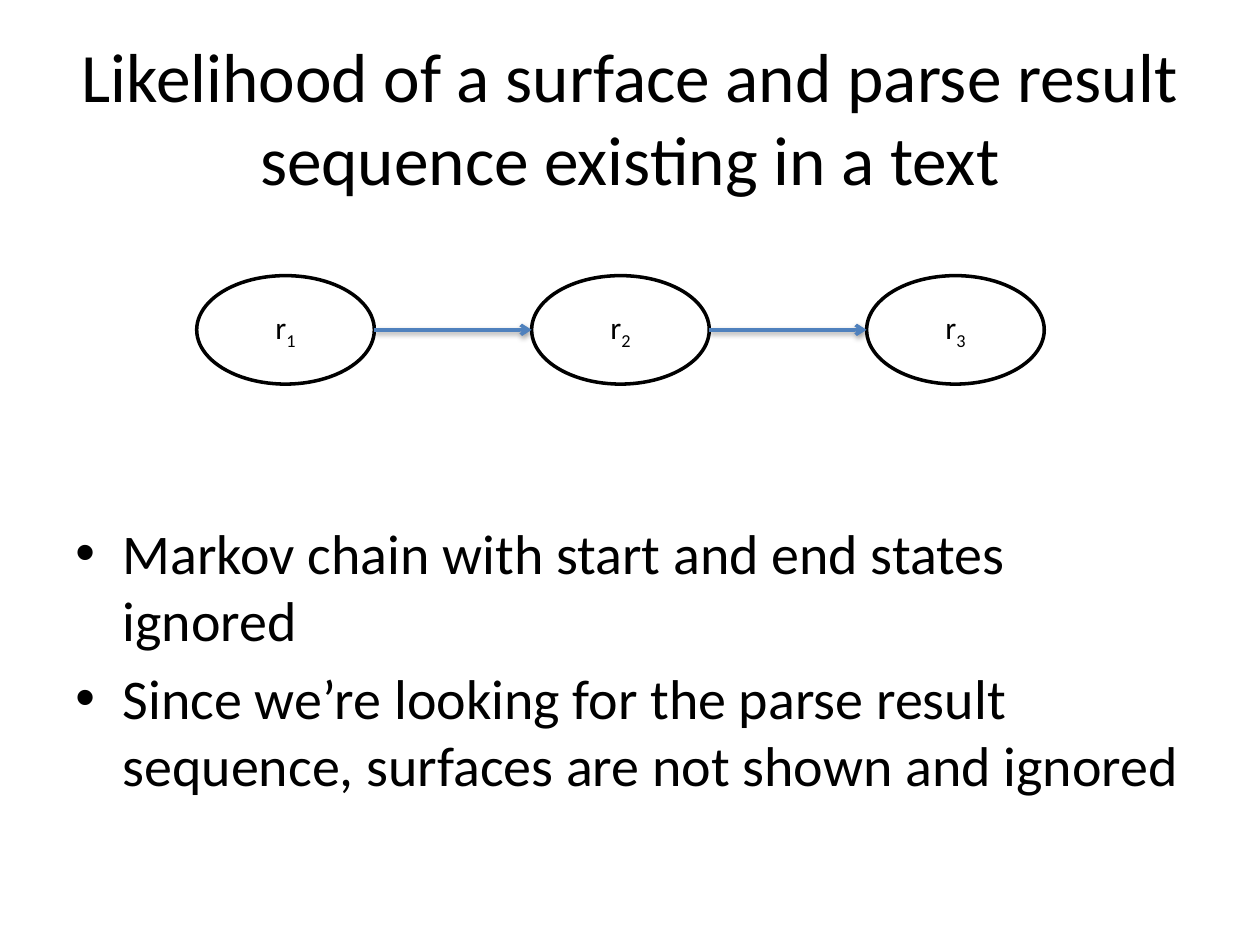
from dataclasses import dataclass
from lxml.etree import SubElement
from pptx import Presentation
from pptx.dml.color import RGBColor
from pptx.enum.shapes import MSO_CONNECTOR, MSO_SHAPE
from pptx.enum.text import MSO_ANCHOR, MSO_AUTO_SIZE, PP_ALIGN
from pptx.oxml import parse_xml
from pptx.oxml.ns import nsdecls, qn
from pptx.util import Pt

TITLE = "Likelihood of a surface and parse result sequence existing in a text"
STATES = ["1", "2", "3"]
NOTES = [
    "Markov chain with start and end states ignored",
    "Since we’re looking for the parse result sequence, surfaces are not shown and ignored",
]


@dataclass
class Theme:
    font: str = "Calibri"
    ink: RGBColor = RGBColor(0, 0, 0)
    paper: RGBColor = RGBColor(255, 255, 255)
    arrow: RGBColor = RGBColor(0x4F, 0x81, 0xBD)
    title: float = 39.6
    body: float = 32
    label: float = 18
    line: float = 2


theme = Theme()
LEFT, WIDE = 36, 648
OVAL_X, OVAL_Y, OVAL_W, OVAL_H = 112.4, 157.5, 101.5, 62
STEP = 191.4
INDENT = 27

SHADOW = (
    f'<a:effectLst {nsdecls("a")}>'
    '<a:outerShdw blurRad="40000" dist="20000" dir="5400000" rotWithShape="0">'
    '<a:srgbClr val="000000"><a:alpha val="38000"/></a:srgbClr>'
    '</a:outerShdw></a:effectLst>'
)


def style(par, size):
    for run in par.runs:
        run.font.name = theme.font
        run.font.size = Pt(size)
        run.font.color.rgb = theme.ink


def place(shape, left, top, width, height):
    shape.left, shape.top = Pt(left), Pt(top)
    shape.width, shape.height = Pt(width), Pt(height)


def add_state(group, index, sub):
    oval = group.shapes.add_shape(
        MSO_SHAPE.OVAL, Pt(OVAL_X + index * STEP), Pt(OVAL_Y), Pt(OVAL_W), Pt(OVAL_H))
    oval.shadow.inherit = False
    oval.fill.solid()
    oval.fill.fore_color.rgb = theme.paper
    oval.line.color.rgb = theme.ink
    oval.line.width = Pt(theme.line)
    oval.text_frame.vertical_anchor = MSO_ANCHOR.MIDDLE
    par = oval.text_frame.paragraphs[0]
    par.alignment = PP_ALIGN.CENTER
    par.add_run().text = "r"
    low = par.add_run()
    low.text = sub
    style(par, theme.label)
    low.font._element.set("baseline", "-25000")


def add_arrow(group, index):
    start = OVAL_X + index * STEP + OVAL_W
    end = OVAL_X + (index + 1) * STEP
    mid = Pt(OVAL_Y + OVAL_H / 2)
    arrow = group.shapes.add_connector(MSO_CONNECTOR.ELBOW, Pt(start), mid, Pt(end), mid)
    arrow.line.color.rgb = theme.arrow
    arrow.line.width = Pt(theme.line)
    SubElement(arrow.line._get_or_add_ln(), qn("a:tailEnd"), type="arrow")
    arrow._element.spPr.append(parse_xml(SHADOW))


def add_notes(slide):
    box = slide.shapes.add_textbox(Pt(LEFT), Pt(292.5), Pt(WIDE), Pt(190))
    frame = box.text_frame
    frame.word_wrap = True
    frame.text = "\n".join(NOTES)
    for index, par in enumerate(frame.paragraphs):
        props = par._p.get_or_add_pPr()
        props.set("marL", str(Pt(INDENT)))
        props.set("indent", str(-Pt(INDENT)))
        par.space_before = Pt(0.2 * theme.body if index else 0)
        SubElement(props, qn("a:buFont"), typeface="Arial")
        SubElement(props, qn("a:buChar"), char="•")
        style(par, theme.body)


def main():
    deck = Presentation()
    deck.slide_width, deck.slide_height = Pt(720), Pt(540)
    slide = deck.slides.add_slide(deck.slide_layouts[5])
    slide.background.fill.solid()
    slide.background.fill.fore_color.rgb = theme.paper

    title = slide.shapes.title
    place(title, LEFT, 21.6, WIDE, 90)
    title.text_frame.text = TITLE
    title.text_frame.auto_size = MSO_AUTO_SIZE.NONE
    title.text_frame.vertical_anchor = MSO_ANCHOR.MIDDLE
    title.text_frame.paragraphs[0].alignment = PP_ALIGN.CENTER
    style(title.text_frame.paragraphs[0], theme.title)

    chain = slide.shapes.add_group_shape()
    for index, sub in enumerate(STATES):
        add_state(chain, index, sub)
    for index in range(len(STATES) - 1):
        add_arrow(chain, index)

    add_notes(slide)
    deck.save("out.pptx")


if __name__ == "__main__":
    main()
